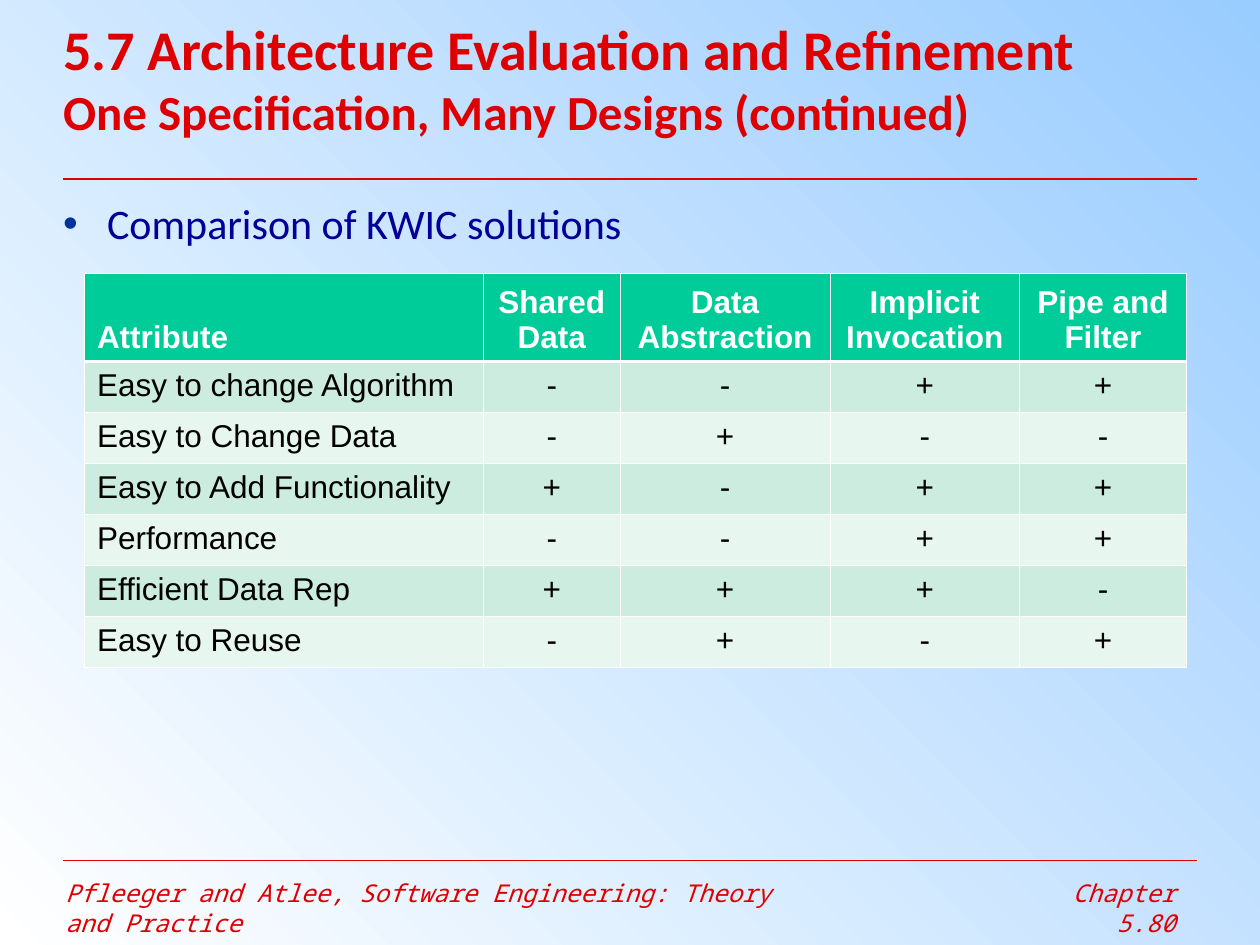
from dataclasses import dataclass

from lxml.etree import SubElement
from pptx import Presentation
from pptx.dml.color import RGBColor
from pptx.enum.text import MSO_ANCHOR as Anchor, MSO_AUTO_SIZE as AutoSize, PP_ALIGN as Align
from pptx.oxml import parse_xml
from pptx.oxml.ns import nsdecls, qn
from pptx.util import Inches, Pt


@dataclass(frozen=True)
class Theme:
    sky: str = "99CCFF"
    white: str = "FFFFFF"
    red: str = "DE0000"
    navy: str = "000099"
    bullet: str = "003399"
    black: str = "000000"
    header: str = "00CC99"
    bands: tuple = ("CBECDE", "E7F6EF")
    title_size: int = 32
    subtitle_size: int = 28
    body_size: int = 24
    table_size: int = 18
    footer_size: int = 14
    text_font: str = "Calibri"
    table_font: str = "Arial"
    footer_font: str = "Noto Sans Mono"


theme = Theme()


def write(paragraph, text, *, size, color, font, bold=False, italic=False, align=Align.LEFT):
    paragraph.alignment = align
    run = paragraph.add_run()
    run.text = text
    run.font.size = Pt(size)
    run.font.name = font
    run.font.bold = bold
    run.font.italic = italic
    run.font.color.rgb = RGBColor.from_string(color)


def place(shape, left, top, width, height, margin_x, margin_y):
    shape.left, shape.top = Inches(left), Inches(top)
    shape.width, shape.height = Inches(width), Inches(height)
    frame = shape.text_frame
    frame.word_wrap = True
    frame.auto_size = AutoSize.NONE
    frame.margin_left = frame.margin_right = Inches(margin_x)
    frame.margin_top = frame.margin_bottom = Inches(margin_y)
    return frame


deck = Presentation()
deck.slide_width, deck.slide_height = Inches(10), Inches(7.5)
slide = deck.slides.add_slide(deck.slide_layouts[1])

backdrop = slide.background.fill
backdrop.gradient()
backdrop.gradient_angle = 225
for stop, color in zip(backdrop.gradient_stops, (theme.sky, theme.white)):
    stop.color.rgb = RGBColor.from_string(color)

for top, weight in ((6.83, 0.75), (1.42, 1.5)):
    rule = slide.shapes.add_connector(1, Inches(0.5), Inches(top), Inches(9.5), Inches(top))
    rule.line.color.rgb = RGBColor.from_string(theme.red)
    rule.line.width = Pt(weight)
    SubElement(rule._element.spPr, qn("a:effectLst"))

for text, left, width, align in (
    ("Pfleeger and Atlee, Software Engineering: Theory and Practice", 0.42, 6, Align.LEFT),
    ("Chapter 5.80", 7.83, 1.6, Align.RIGHT),
):
    footer = place(slide.shapes.add_textbox(0, 0, 0, 0), left, 6.92, width, 0.37, 0.1, 0.05)
    write(footer.paragraphs[0], text, size=theme.footer_size, color=theme.red,
          font=theme.footer_font, italic=True, align=align)

title = place(slide.shapes.title, 0.5, 0, 9.5, 1.23, 0, 0)
title.vertical_anchor = Anchor.MIDDLE
heading = title.paragraphs[0]
write(heading, "5.7 Architecture Evaluation and Refinement", size=theme.title_size,
      color=theme.red, font=theme.text_font, bold=True)
heading.add_line_break()
write(heading, "One Specification, Many Designs (continued)", size=theme.subtitle_size,
      color=theme.red, font=theme.text_font, bold=True)

body = place(slide.placeholders[1], 0.5, 1.57, 8.98, 5.1, 0, 0)
point = body.paragraphs[0]
point.space_before = Pt(0)
point_format = point._p.get_or_add_pPr()
point_format.set("marL", str(Inches(0.35)))
point_format.set("indent", str(Inches(-0.35)))
bullet_color = SubElement(point_format, qn("a:buClr"))
SubElement(bullet_color, qn("a:srgbClr"), val=theme.bullet)
SubElement(point_format, qn("a:buChar"), char="•")
write(point, "Comparison of KWIC solutions", size=theme.body_size,
      color=theme.navy, font=theme.text_font)

designs = ("Attribute", "Shared\nData", "Data\nAbstraction", "Implicit Invocation", "Pipe and\nFilter")
ratings = (
    ("Easy to change Algorithm", "--++"),
    ("Easy to Change Data", "-+--"),
    ("Easy to Add Functionality", "+-++"),
    ("Performance", "--++"),
    ("Efficient Data Rep", "+++-"),
    ("Easy to Reuse", "-+-+"),
)
rows = [designs] + [(attribute, *marks) for attribute, marks in ratings]
column_widths = (3.17, 1.08, 1.67, 1.5, 1.33)
row_heights = [0.7] + [0.405] * len(ratings)

comparison = slide.shapes.add_table(
    len(rows), len(designs), Inches(0.67), Inches(2.17),
    Inches(sum(column_widths)), Inches(sum(row_heights))).table
comparison.first_row = True
comparison.horz_banding = False
for column, width in zip(comparison.columns, column_widths):
    column.width = Inches(width)
for row, height in zip(comparison.rows, row_heights):
    row.height = Inches(height)

for r, values in enumerate(rows):
    is_header = r == 0
    for c, value in enumerate(values):
        cell = comparison.cell(r, c)
        cell.vertical_anchor = Anchor.BOTTOM if is_header else Anchor.TOP
        cell.fill.solid()
        cell.fill.fore_color.rgb = RGBColor.from_string(
            theme.header if is_header else theme.bands[(r - 1) % 2])
        for i, line in enumerate(value.split("\n")):
            frame = cell.text_frame
            paragraph = frame.add_paragraph() if i else frame.paragraphs[0]
            write(paragraph, line, size=theme.table_size, font=theme.table_font,
                  color=theme.white if is_header else theme.black, bold=is_header,
                  align=Align.CENTER if c else Align.LEFT)
        for i, side in enumerate("LRTB"):
            heavy = (r, side) in ((0, "B"), (1, "T"))
            border = parse_xml(
                f'<a:ln{side} {nsdecls("a")} w="{Pt(1.47 if heavy else 0.45)}">'
                f'<a:solidFill><a:srgbClr val="{theme.white}"/></a:solidFill></a:ln{side}>')
            cell._tc.get_or_add_tcPr().insert(i, border)

deck.save("out.pptx")
